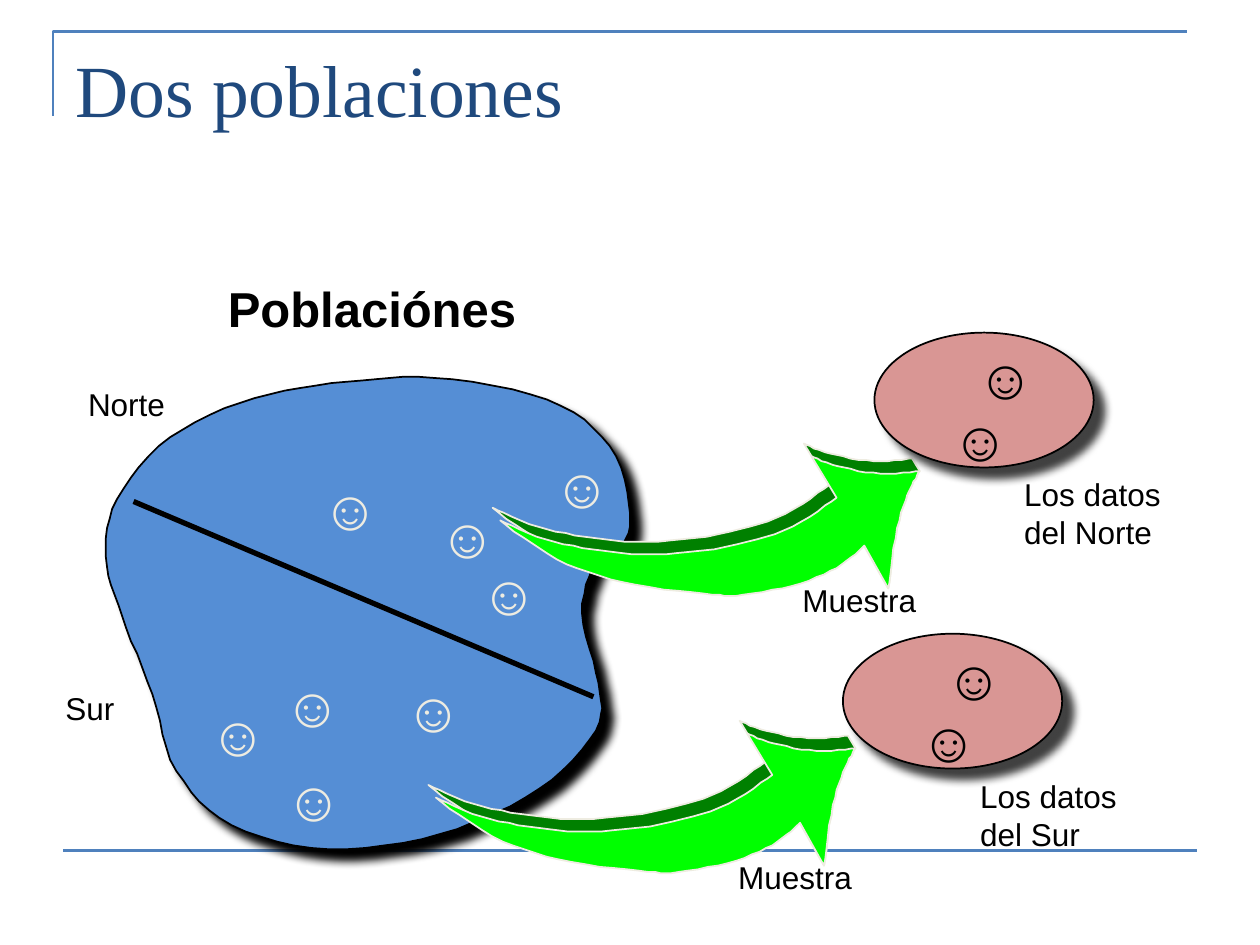
from dataclasses import dataclass

from lxml.etree import SubElement
from pptx import Presentation
from pptx.dml.color import RGBColor
from pptx.enum.shapes import MSO_CONNECTOR, MSO_SHAPE
from pptx.enum.text import MSO_ANCHOR, MSO_AUTO_SIZE, PP_ALIGN
from pptx.oxml.ns import qn
from pptx.util import Pt

PX = 9144  # EMU per px, 100 px to the inch
CURVE_STEPS = 6  # straight pieces between two waypoints of a curve


@dataclass(frozen=True)
class Theme:
    rule: str = "4F81BD"
    title: str = "1F497D"
    ink: str = "000000"
    population: str = "558ED5"
    sample: str = "D99694"
    arrow_edge: str = "008000"
    arrow_face: str = "00FF00"
    pale: str = "EEECE1"
    title_font: str = "Times New Roman"
    body_font: str = "Arial"
    title_size: int = 42
    heading_size: int = 28
    face_size: int = 32
    label_size: int = 18


@dataclass(frozen=True)
class Sample:
    place: str
    arrow_tail: tuple
    ellipse: tuple
    caption_offset: tuple  # from the corner of the ellipse


THEME = Theme()
SAMPLES = [
    Sample("Norte", (397, 413), (694, 264), (109, 108)),
    Sample("Sur", (346, 633), (669, 503), (99, 109)),
]
ELLIPSE_SIZE = (174, 107)
SAMPLE_FACES = [(69, 4), (49, 53)]  # from the corner of the ellipse
ARROW_LABEL_OFFSET = (230, 43)  # from the tail of the arrow

NORTH_FACES = [(243, 372), (427, 354), (336, 394), (369, 439)]
SOUTH_FACES = [(154, 551), (214, 603), (213, 528), (309, 532)]

# Waypoints of the population, counter-clockwise from the top left
WEST_COAST = [(202, 316), (135, 347), (93, 396), (84, 442), (97, 489), (121, 551), (140, 612)]
SOUTH_COAST = [(184, 655), (261, 674), (349, 662), (428, 626), (473, 580)]
EAST_BAY = [(475, 542), (462, 487), (473, 446), (493, 434)]
NORTH_COAST = [(500, 407), (484, 354), (434, 317), (345, 300), (275, 303)]

# Sides of the curved arrow, measured from its tail
UNDERSIDE = [(0, 0), (45, 31), (97, 49), (161, 58), (193, 59), (239, 50), (271, 35), (289, 20)]
HEAD_RIGHT = [(308, 54), (315, 6), (325, -24), (333, -39)]
HEAD_TOP = [(333, -39), (302, -37), (268, -43), (247, -51)]
UPPER_SIDE = [(267, -18), (232, 5), (188, 19), (131, 27), (81, 24), (36, 15), (0, 0)]
EDGE_SHIFT = (-6, -10)  # the dark edge shows above and left of the face


def move(point, offset):
    return point[0] + offset[0], point[1] + offset[1]


def move_all(points, offset):
    return [move(point, offset) for point in points]


def smooth(points, closed=False):
    """Return a Catmull-Rom curve through the waypoints."""
    if closed:
        path = [points[-1], *points, *points[:2]]
    else:
        path = [points[0], *points, points[-1]]
    curve = []
    for a, b, c, d in zip(path, path[1:], path[2:], path[3:]):
        for step in range(CURVE_STEPS):
            t = step / CURVE_STEPS
            curve.append(tuple(
                q + t * (r - p + t * (2 * p - 5 * q + 4 * r - s + t * (3 * q - p - 3 * r + s))) / 2
                for p, q, r, s in zip(a, b, c, d)))
    return curve if closed else [*curve, points[-1]]


def emu(*lengths):
    return [length * PX for length in lengths]


def paint(shape, fill, line, width=1):
    shape.shadow.inherit = False
    if fill:
        shape.fill.solid()
        shape.fill.fore_color.rgb = RGBColor.from_string(fill)
    else:
        shape.fill.background()
    shape.line.color.rgb = RGBColor.from_string(line)
    shape.line.width = Pt(width)


def add_shadow(shape, opacity):
    """Cast a soft shadow to the lower right; opacity is in percent."""
    effects = shape._element.spPr.find(qn("a:effectLst"))
    shadow = SubElement(effects, qn("a:outerShdw"), blurRad=str(Pt(5)), dist=str(Pt(8.5)),
                        dir="2700000", algn="ctr", rotWithShape="0")
    color = SubElement(shadow, qn("a:srgbClr"), val=THEME.ink)
    SubElement(color, qn("a:alpha"), val=str(opacity * 1000))


def add_outline(shapes, points, fill, line, width=1, close=True):
    builder = shapes.build_freeform(*points[0], scale=PX)
    builder.add_line_segments(points[1:], close=close)
    shape = builder.convert_to_shape()
    paint(shape, fill, line, width)
    return shape


def add_line(shapes, start, end, color, width):
    line = shapes.add_connector(MSO_CONNECTOR.STRAIGHT, *emu(*start, *end))
    line.line.color.rgb = RGBColor.from_string(color)
    line.line.width = Pt(width)
    SubElement(line._element.spPr, qn("a:effectLst"))


def add_text(shapes, position, size, lines, points, color=THEME.ink, font=THEME.body_font,
             bold=False, align=PP_ALIGN.LEFT, wrap=False, grow=True):
    frame = shapes.add_textbox(*emu(*position, *size)).text_frame
    frame_format = {
        "word_wrap": wrap,
        "auto_size": MSO_AUTO_SIZE.SHAPE_TO_FIT_TEXT if grow else MSO_AUTO_SIZE.NONE,
        "vertical_anchor": MSO_ANCHOR.TOP,
    }
    for name, value in frame_format.items():
        setattr(frame, name, value)
    frame.text = "\n".join(lines)
    for paragraph in frame.paragraphs:
        paragraph.alignment = align
        for run in paragraph.runs:
            for name, value in {"name": font, "size": Pt(points), "bold": bold}.items():
                setattr(run.font, name, value)
            run.font.color.rgb = RGBColor.from_string(color)


def add_label(shapes, position, size, *lines):
    add_text(shapes, position, size, lines, THEME.label_size)


def add_faces(shapes, positions, color):
    for position in positions:
        add_text(shapes, position, (70, 63), ["☺"], THEME.face_size, color,
                 bold=True, align=PP_ALIGN.CENTER)


def add_title(shapes):
    add_outline(shapes, [(42, 92), (42, 25), (942, 25)], None, THEME.rule, 1.5, close=False)
    add_line(shapes, (50, 675), (950, 675), THEME.rule, 1.5)
    add_text(shapes, (50, 30), (900, 125), ["Dos poblaciones"], THEME.title_size, THEME.title,
             THEME.title_font, wrap=True, grow=False)


def add_population(shapes):
    coast = smooth(WEST_COAST + SOUTH_COAST + EAST_BAY + NORTH_COAST, closed=True)
    add_shadow(add_outline(shapes, coast, THEME.population, THEME.ink), 100)
    add_text(shapes, (171, 216), (252, 57), ["Poblaciónes"], THEME.heading_size,
             bold=True, wrap=True)
    add_line(shapes, (106, 398), (471, 553), THEME.ink, 3)
    add_faces(shapes, NORTH_FACES + SOUTH_FACES, THEME.pale)
    add_label(shapes, (60, 301), (82, 40), "Norte")
    add_label(shapes, (42, 542), (59, 40), "Sur")


def add_curved_arrow(shapes, tail):
    """Draw the bright face over a dark edge; both share the right side of the head."""
    underside, right, top, upper = map(smooth, (UNDERSIDE, HEAD_RIGHT, HEAD_TOP, UPPER_SIDE))
    face = underside + right + top[1:] + upper[:-1]
    edge = move_all(underside, EDGE_SHIFT) + right + move_all(top + upper[:-1], EDGE_SHIFT)
    group = shapes.add_group_shape()
    for outline, fill in ((edge, THEME.arrow_edge), (face, THEME.arrow_face)):
        add_outline(group.shapes, move_all(outline, tail), fill, THEME.pale)


def add_sample(shapes, sample):
    add_curved_arrow(shapes, sample.arrow_tail)
    add_label(shapes, move(sample.arrow_tail, ARROW_LABEL_OFFSET), (111, 40), "Muestra")
    ellipse = shapes.add_shape(MSO_SHAPE.OVAL, *emu(*sample.ellipse, *ELLIPSE_SIZE))
    paint(ellipse, THEME.sample, THEME.ink)
    add_shadow(ellipse, 75)
    add_label(shapes, move(sample.ellipse, sample.caption_offset), (137, 71),
              "Los datos", f"del {sample.place}")
    add_faces(shapes, move_all(SAMPLE_FACES, sample.ellipse), THEME.ink)


def main():
    presentation = Presentation()
    presentation.slide_width, presentation.slide_height = emu(1000, 750)
    shapes = presentation.slides.add_slide(presentation.slide_layouts[6]).shapes
    add_title(shapes)
    add_population(shapes)
    for sample in SAMPLES:
        add_sample(shapes, sample)
    presentation.save("out.pptx")


if __name__ == "__main__":
    main()
